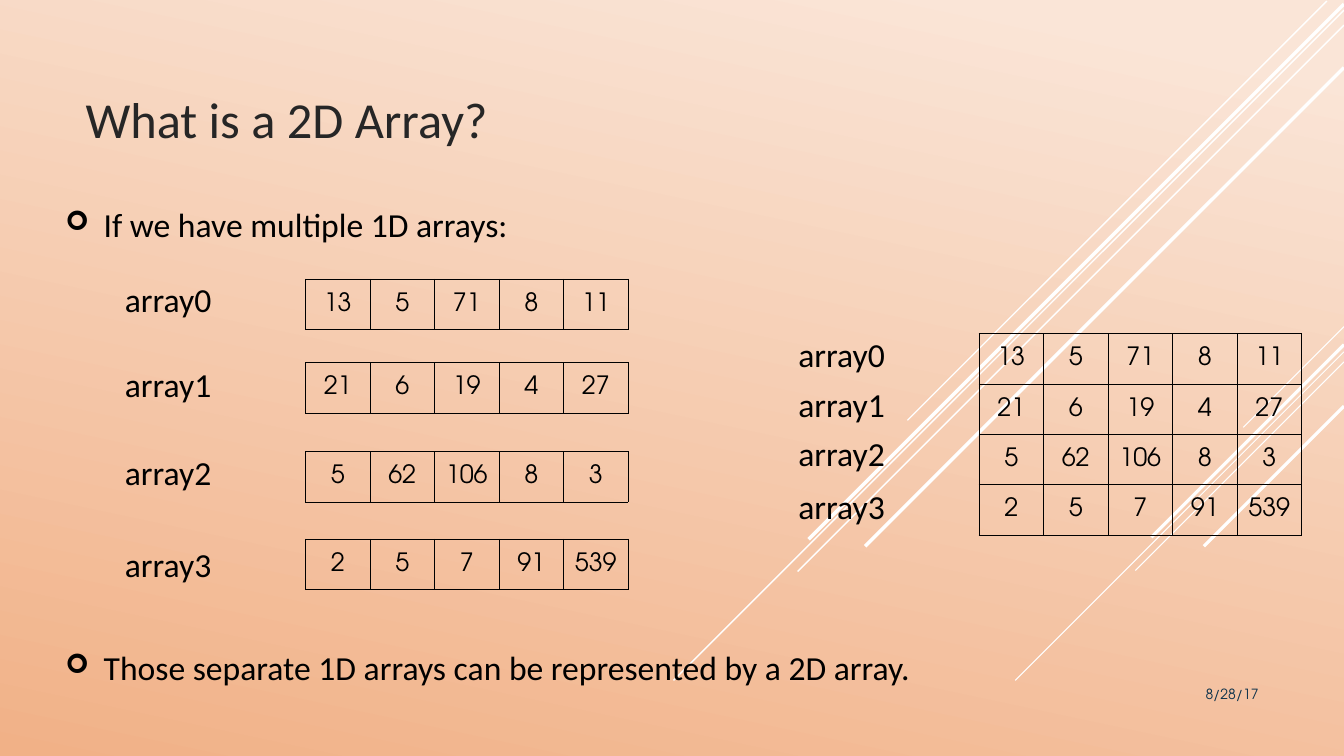
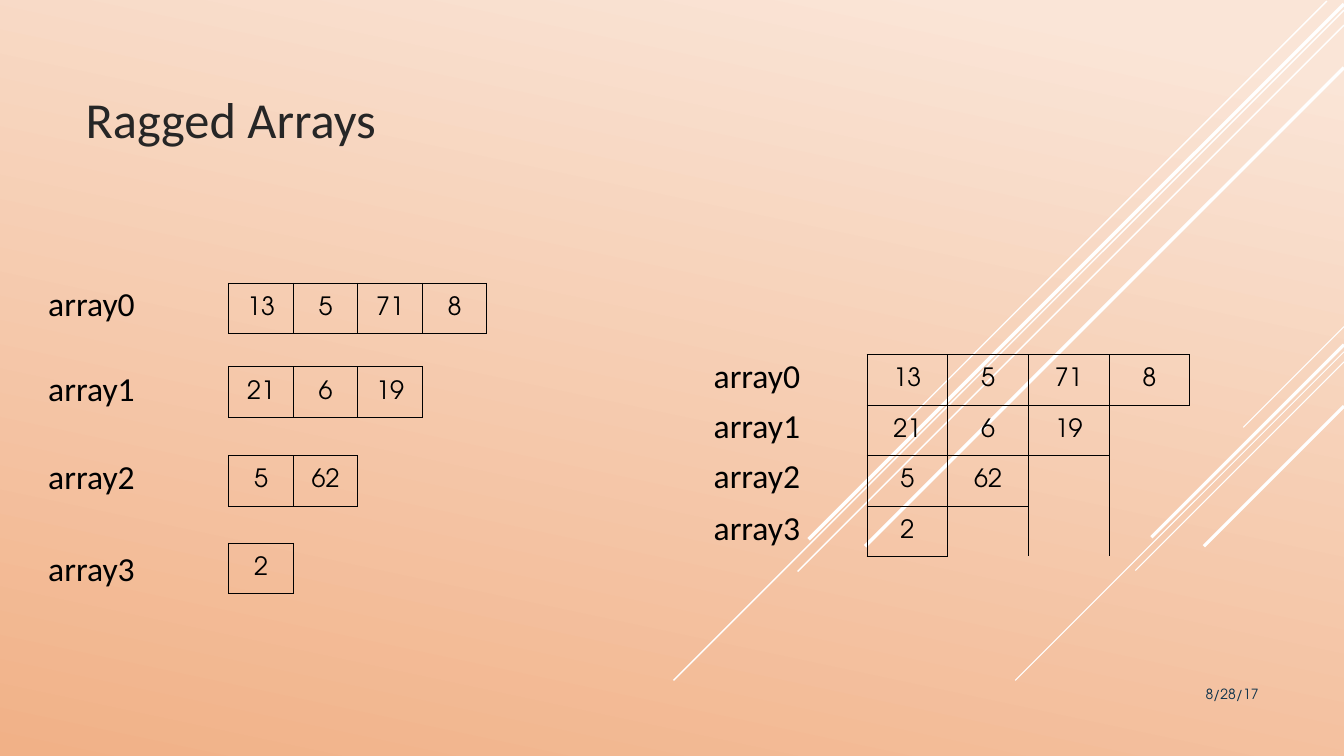
from lxml.etree import SubElement
from pptx import Presentation
from pptx.dml.color import RGBColor
from pptx.enum.shapes import MSO_CONNECTOR
from pptx.enum.text import MSO_ANCHOR, PP_ALIGN
from pptx.oxml.ns import qn
from pptx.util import Inches, Pt

BLACK = RGBColor(0x00, 0x00, 0x00)
WHITE = RGBColor(0xFF, 0xFF, 0xFF)
INK = RGBColor(0x26, 0x26, 0x26)
NAVY = RGBColor(0x0A, 0x30, 0x4A)
CREAM = RGBColor(0xFA, 0xE5, 0xD7)
PEACH = RGBColor(0xF1, 0xB1, 0x87)

TITLE = {"size": Pt(36), "name": "Calibri"}
BODY = {"size": Pt(24), "name": "Calibri"}
DATE = {"size": Pt(10), "name": "TeX Gyre Adventor"}
DIGIT = {"size": Pt(18), "name": "TeX Gyre Adventor"}
PLAIN = "{2D5ABB26-0587-4C30-8999-92F81FD0307C}"

STREAKS = [
    (13.33, 3.24, 1, 0.75), (13.33, 3.49, 3.26, 0.75),
    (13.33, 3.59, 2.07, 0.75), (13.33, 3.42, 1.91, 2.25),
    (13.33, 4.03, 1.39, 2.25), (13.16, 0.01, 4.16, 1),
    (13.33, 0.1, 6.65, 1), (13.33, 0.25, 5.42, 1),
    (13.33, 0.04, 5.31, 2.5), (13.33, 0.67, 4.75, 2.5),
]
ROWS = [
    (13, 5, 71, 8, 11),
    (21, 6, 19, 4, 27),
    (5, 62, 106, 8, 3),
    (2, 5, 7, 91, 539),
]
RAGGED = [row[:4 - i] for i, row in enumerate(ROWS)]
POINTS = [
    "If we have multiple 1D arrays:",
    "Those separate 1D arrays can be represented by a 2D array.",
]
ROW = 0.5
COL = 0.64
STACK = (0, 0.83, 1.71, 2.58)
TAGS = (-0.05, 0.79, 1.66, 2.58)
GRID = (-0.05, 0.45, 0.94, 1.46)


def style(run, form, color):
    """Apply font values and a colour to a run."""
    for key, value in form.items():
        setattr(run.font, key, value)
    run.font.color.rgb = color


def write(slide, box, lines, form, color, align, anchor=MSO_ANCHOR.TOP):
    """Add a wrapped text box and return its paragraphs."""
    frame = slide.shapes.add_textbox(*map(Inches, box)).text_frame
    frame.word_wrap = True
    frame.vertical_anchor = anchor
    frame.text = "\n".join(lines)
    for para in frame.paragraphs:
        para.alignment = align
        style(para.runs[0], form, color)
    return frame.paragraphs


def streak(slide, master, index, x, y, run, width):
    """Draw one diagonal streak and move it to the master."""
    ends = (x, y, x - run, y + run)
    line = slide.shapes.add_connector(MSO_CONNECTOR.STRAIGHT, *map(Inches, ends))
    line.line.color.rgb = WHITE
    line.line.width = Pt(width)
    node = line.element
    SubElement(node.spPr, qn("a:effectLst"))
    node.nvCxnSpPr.cNvPr.set("id", str(100 + index))
    master.shapes.element.append(node)


def theme(deck, slide):
    """Give the master its gradient and streaks."""
    master = deck.slide_master
    fill = master.background.fill
    fill.gradient()
    fill.gradient_angle = 258
    for stop, color, place in zip(fill.gradient_stops, (CREAM, PEACH), (0.07, 1)):
        stop.color.rgb = color
        stop.position = place
    for index, item in enumerate(STREAKS):
        streak(slide, master, index, *item)


def start(deck, title):
    """Add a slide with its title and date."""
    slide = deck.slides.add_slide(deck.slide_layouts[6])
    write(slide, (0.75, 0.49, 8.75, 1.03), [title], TITLE, INK,
          PP_ALIGN.LEFT, MSO_ANCHOR.BOTTOM)
    write(slide, (10.83, 6.75, 1.75, 0.4), ["8/28/17"], DATE, NAVY, PP_ALIGN.RIGHT)
    return slide


def bullets(slide, box, lines, gap):
    """Write arrow bullets with a gap between them."""
    paras = write(slide, box, lines, BODY, BLACK, PP_ALIGN.JUSTIFY)
    for para in paras:
        props = para._p.get_or_add_pPr()
        props.set("marL", str(Inches(0.38)))
        props.set("indent", str(-Inches(0.38)))
        tint = SubElement(props, qn("a:buClr"))
        SubElement(tint, qn("a:srgbClr"), val=str(BLACK))
        SubElement(props, qn("a:buSzPct"), val="80000")
        SubElement(props, qn("a:buFont"), typeface="Wingdings")
        SubElement(props, qn("a:buChar"), char="➢")
    for para in paras[1:]:
        para.space_before = Pt(gap)


def border(cell, sides):
    """Draw thin black lines on the named sides of a cell."""
    props = cell._tc.get_or_add_tcPr()
    for side in "LRTB":
        shown = side in sides
        line = SubElement(props, qn("a:ln" + side), w=str(Pt(0.75) if shown else 0))
        fill = SubElement(line, qn("a:solidFill" if shown else "a:noFill"))
        if shown:
            SubElement(fill, qn("a:srgbClr"), val=str(BLACK))
    cell.fill.background()


def number(cell, value):
    """Write a centred number in a cell."""
    cell.vertical_anchor = MSO_ANCHOR.MIDDLE
    cell.margin_left = cell.margin_right = Inches(0.05)
    para = cell.text_frame.paragraphs[0]
    para.alignment = PP_ALIGN.CENTER
    run = para.add_run()
    run.text = str(value)
    style(run, DIGIT, BLACK)


def table(slide, x, y, rows, wide=COL):
    """Add a table of rows, joining blank cells down each column."""
    high, count = len(rows), max(map(len, rows))
    box = map(Inches, (x, y, wide * count, ROW * high))
    grid = slide.shapes.add_table(high, count, *box).table
    grid.first_row = grid.horz_banding = False
    grid._tbl.tblPr.find(qn("a:tableStyleId")).text = PLAIN
    for c in range(count):
        full = sum(len(row) > c for row in rows)
        if full < high - 1:
            grid.cell(full, c).merge(grid.cell(high - 1, c))
        for r in range(high):
            cell = grid.cell(r, c)
            if r < full:
                number(cell, rows[r][c])
                border(cell, "LRTB")
            else:
                border(cell, "LT" if r == full else "L")


def labels(slide, x, y, steps):
    """Name the arrays down a column."""
    for i, step in enumerate(steps):
        write(slide, (x, y + step, 1.29, 0.59), [f"array{i}"], BODY, BLACK,
              PP_ALIGN.JUSTIFY)


def stack(slide, x, y, rows):
    """Show each array as a named table of its own."""
    for step, row in zip(STACK, rows):
        table(slide, x + 1.89, y + step, [row])
    labels(slide, x, y, TAGS)


def matrix(slide, x, y, rows, shift, wide):
    """Show the arrays as one table with named rows."""
    table(slide, x + shift, y, rows, wide)
    labels(slide, x, y, GRID)


def main():
    """Build and save the deck."""
    deck = Presentation()
    deck.slide_width, deck.slide_height = Inches(13.33), Inches(7.5)
    first = start(deck, "What is a 2D Array?")
    theme(deck, first)
    bullets(first, (0.55, 1.97, 10.73, 5.26), POINTS, 288)
    stack(first, 1.14, 2.77, ROWS)
    matrix(first, 7.82, 3.31, ROWS, 1.89, COL)
    second = start(deck, "Ragged Arrays")
    stack(second, 0.38, 2.81, RAGGED)
    matrix(second, 6.98, 3.52, RAGGED, 1.62, 0.8)
    deck.save("out.pptx")


if __name__ == "__main__":
    main()
